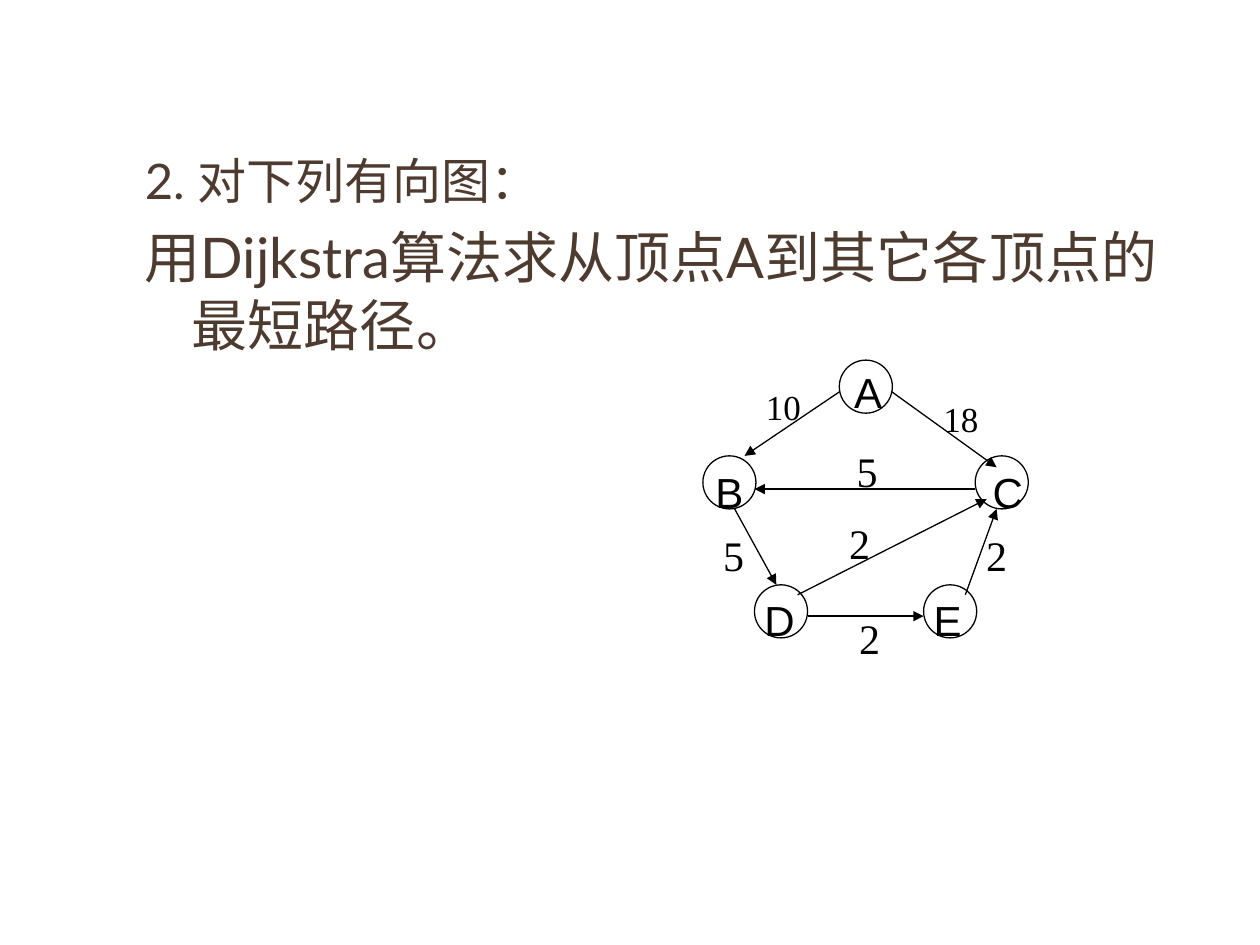
from lxml import etree
from pptx import Presentation
from pptx.dml.color import RGBColor
from pptx.enum import shapes, text
from pptx.oxml import ns
from pptx.util import Cm, Pt

# Content: lengths in cm
INK, BROWN = "000000", "4E3B30"
TASK = [
    ("2. 对下列有向图：", 28, 0),
    ("用Dijkstra算法求从顶点A到其它各顶点的最短路径。", 32, 8),
]
SIZE = 1.07
# name: circle left, top; letter left, top, width
NODES = {
    "A": (16.92, 7.26, 16.97, 7.26, 0.61),
    "B": (14.17, 9.19, 14.17, 9.27, 0.61),
    "C": (19.66, 9.19, 19.76, 9.27, 0.81),
    "E": (18.62, 11.79, 18.57, 11.86, 0.79),
    "D": (15.21, 11.79, 15.16, 11.86, 0.79),
}
# start, end, weight, label left and top, label size
EDGES = [
    ((16.92, 7.9), (15.01, 9.19), "10", (15.19, 7.65), 20),
    ((17.98, 7.9), (20.09, 9.42), "18", (18.77, 7.9), 20),
    ((19.66, 9.86), (15.21, 9.86), "5", (17.02, 8.86), 24),
    ((16.08, 11.99), (19.89, 10.06), "2", (16.87, 10.31), 24),
    ((19.46, 11.99), (20.09, 10.26), "2", (19.63, 10.54), 24),
    ((16.28, 12.42), (18.62, 12.42), "2", (17.07, 12.22), 24),
    ((14.81, 10.26), (15.65, 11.79), "5", (14.33, 10.54), 24),
]
LABEL = {20: (1.73, 1.09), 24: (0.94, 1.27)}  # box by text size


def color(code):
    return RGBColor.from_string(code)


def add_run(para, words, size, font, code):
    run = para.add_run()
    run.text = words
    run.font.size = Pt(size)
    run.font.name = font
    run.font.color.rgb = color(code)


def add_label(parent, words, box, size, font):
    frame = parent.add_textbox(*map(Cm, box)).text_frame
    frame.word_wrap = True
    frame.vertical_anchor = text.MSO_ANCHOR.BOTTOM
    add_run(frame.paragraphs[0], words, size, font, INK)


def add_node(parent, left, top):
    node = parent.add_shape(shapes.MSO_SHAPE.OVAL, Cm(left), Cm(top), Cm(SIZE), Cm(SIZE))
    node.shadow.inherit = False
    node.fill.background()
    node.line.color.rgb = color(INK)
    node.line.width = Pt(0.75)


def add_arrow(parent, start, end):
    arrow = parent.add_connector(shapes.MSO_CONNECTOR.STRAIGHT, *map(Cm, start + end))
    arrow.line.color.rgb = color(INK)
    arrow.line.width = Pt(0.75)
    etree.SubElement(arrow.line._get_or_add_ln(), ns.qn("a:tailEnd"), type="triangle")
    etree.SubElement(arrow._element.spPr, ns.qn("a:effectLst"))


def main():
    prs = Presentation()
    prs.slide_width, prs.slide_height = Cm(25.4), Cm(19.05)
    slide = prs.slides.add_slide(prs.slide_layouts[6])

    # Task text with a hanging indent
    frame = slide.shapes.add_textbox(Cm(2.67), Cm(2.9), Cm(21.44), Cm(15.7)).text_frame
    frame.word_wrap = True
    for i, (words, size, gap) in enumerate(TASK):
        para = frame.add_paragraph() if i else frame.paragraphs[0]
        props = para._p.get_or_add_pPr()
        props.set("marL", str(Cm(0.95)))
        props.set("indent", str(-Cm(0.95)))
        para.space_before = Pt(gap)
        add_run(para, words, size, "Lato", BROWN)

    # Directed graph: circles, arrows, weights, letters
    graph = slide.shapes.add_group_shape().shapes
    for left, top, *_ in NODES.values():
        add_node(graph, left, top)
    for start, end, *_ in EDGES:
        add_arrow(graph, start, end)
    for _, _, weight, spot, size in EDGES:
        add_label(graph, weight, spot + LABEL[size], size, "Times New Roman")
    for name, (_, _, left, top, width) in NODES.items():
        add_label(graph, name, (left, top, width, 1.27), 24, "Arial")

    prs.save("out.pptx")


if __name__ == "__main__":
    main()
